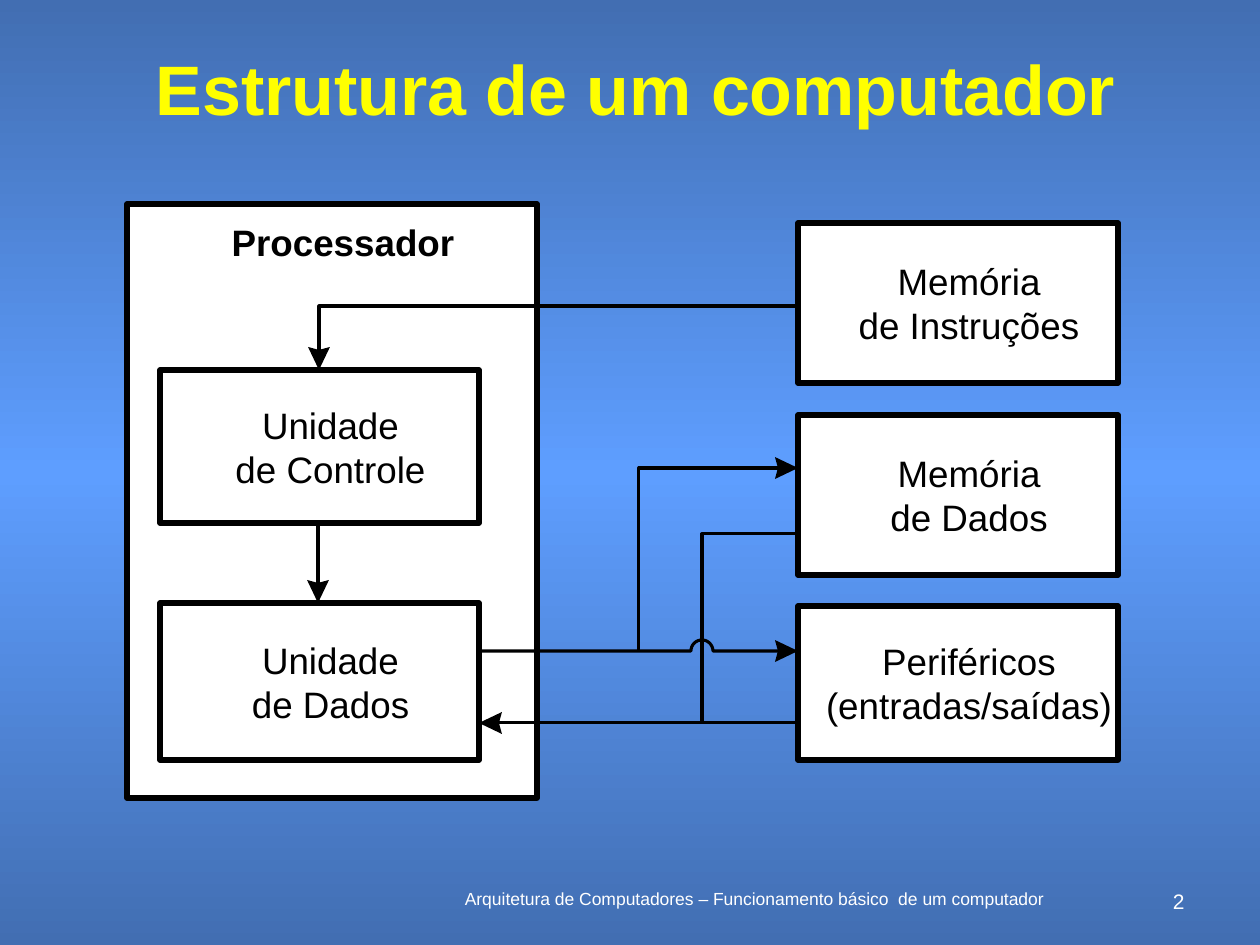
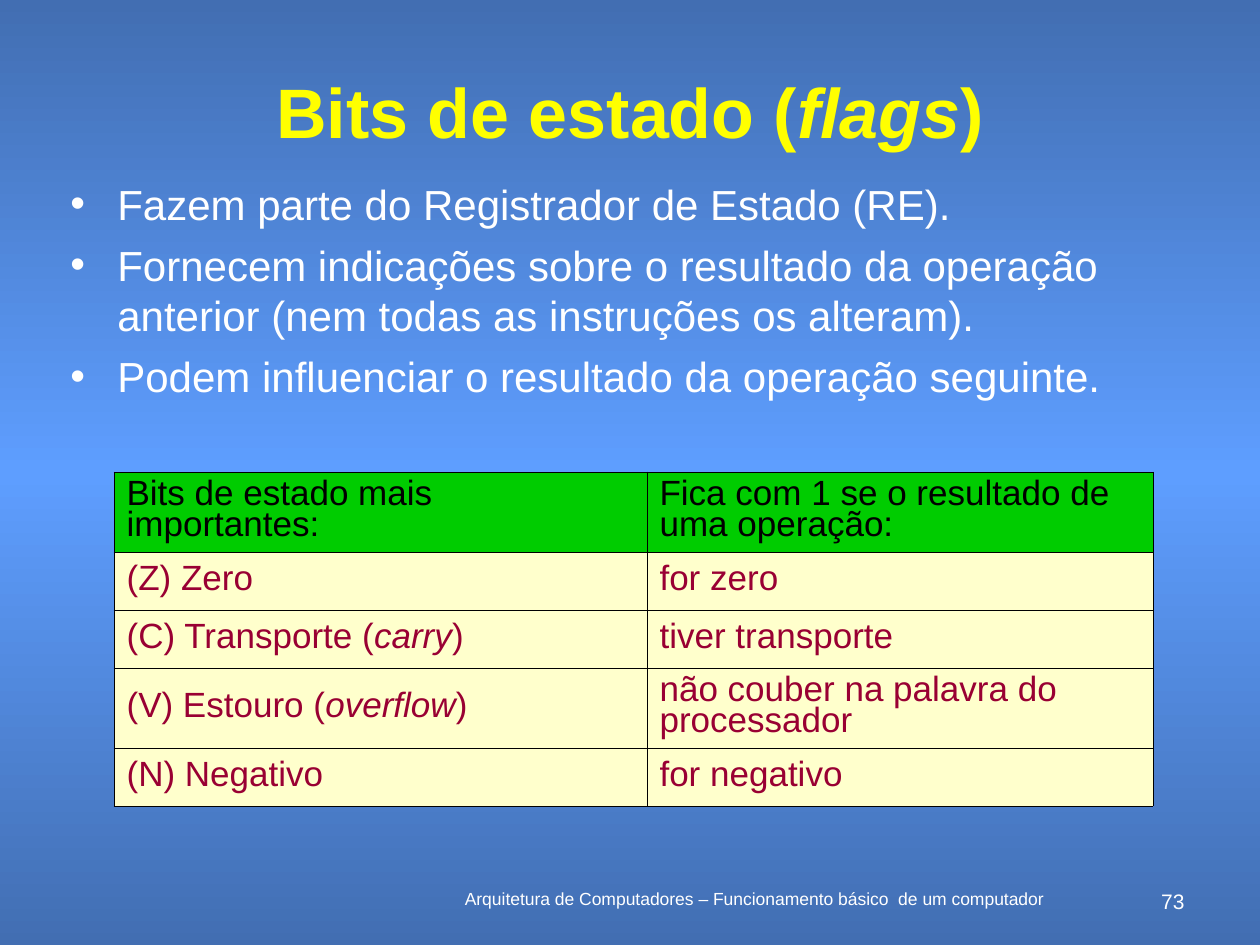
"""Builds two lecture slides: computer structure diagram and status flags table."""
import copy
import math
from lxml import etree
from pptx import Presentation, util as u
from pptx.dml.color import RGBColor
from pptx.enum import shapes, text
from pptx.oxml.ns import qn

SCALE = 914400 / 126
FONT = "Arial"
COLORS = dict(edge="426EB2", glow="5E9EFF", title="FFFF00", white="FFFFFF", black="000000",
              head="00CC00", row="FFFFCC", cell="990033")
FOOTER = "Arquitetura de Computadores – Funcionamento básico  de um computador"

STRUCTURE = dict(title="Estrutura de um computador", number="2",
                 title_box=(95, 53, 1081, 84), spacing=0.8)
PROCESSOR = ("Processador", (127, 204, 410, 594))
BLOCKS = [
    (["Unidade", "de Controle"], (160, 370, 319, 153)),
    (["Unidade", "de Dados"], (160, 603, 319, 157)),
    (["Memória", "de Instruções"], (798, 223, 320, 160)),
    (["Memória", "de Dados"], (798, 415, 320, 160)),
    (["Periféricos", "(entradas/saídas)"], (798, 606, 320, 154)),
]
OUT_Y, IN_Y, HOP_X, HOP_R = 651, 723, 702, 11
HOP = [(HOP_X - HOP_R * math.cos(math.pi * i / 16), OUT_Y - HOP_R * math.sin(math.pi * i / 16))
       for i in range(17)]
WIRES = [
    ([(318, 523), (318, 603)], True),
    ([(798, 306), (319, 306), (319, 370)], True),
    ([(479, OUT_Y), *HOP, (798, OUT_Y)], True),
    ([(639, OUT_Y), (639, 468), (798, 468)], True),
    ([(798, 534), (HOP_X, 534), (HOP_X, IN_Y)], False),
    ([(798, IN_Y), (479, IN_Y)], True),
]
ARROW_LENGTH, ARROW_NOTCH, ARROW_HALF = 23, 20, 11

FLAGS = dict(title="Bits de estado (*flags*)", number="73",
             title_box=(84, 63, 1092, 95), spacing=1.0)
BULLETS = [
    "Fazem parte do Registrador de Estado (RE).",
    "Fornecem indicações sobre o resultado da operação anterior (nem todas as instruções os alteram).",
    "Podem influenciar o resultado da operação seguinte.",
]
TABLE = [
    ("Bits de estado mais importantes:", "Fica com 1 se o resultado de uma operação:"),
    ("(Z) Zero", "for zero"),
    ("(C) Transporte (*carry*)", "tiver transporte"),
    ("(V) Estouro (*overflow*)", "não couber na palavra do processador"),
    ("(N) Negativo", "for negativo"),
]
TABLE_AT, COL_WIDTHS, ROW_HEIGHTS = (114, 472), (533, 506), (79, 58, 58, 80, 58)


def px(n):
    return u.Emu(round(n * SCALE))


def rgb(name):
    return RGBColor.from_string(COLORS[name])


def assign(obj, **values):
    for name, value in values.items():
        setattr(obj, name, value)


def write(p, words, size, color, bold=False, **layout):
    """Fill a paragraph; parts between asterisks are italic."""
    assign(p, **layout)
    for i, part in enumerate(words.split("*")):
        if part:
            r = p.add_run()
            r.text = part
            assign(r.font, name=FONT, size=u.Pt(size), bold=bold, italic=i % 2 == 1)
            r.font.color.rgb = rgb(color)


def add_text(s, box, lines, size, color, anchor=text.MSO_ANCHOR.TOP, bold=False, **layout):
    tf = s.shapes.add_textbox(*map(px, box)).text_frame
    assign(tf, word_wrap=True, vertical_anchor=anchor)
    for i, line in enumerate(lines):
        write(tf.add_paragraph() if i else tf.paragraphs[0], line, size, color, bold, **layout)
    return tf


def paint_background(master):
    fill = master.background.fill
    fill.gradient()
    fill.gradient_angle = 90
    edge, glow = fill.gradient_stops
    edge.color.rgb, glow.color.rgb = rgb("edge"), rgb("glow")
    edge.position, glow.position = 0, 0.5
    stops = master.element.find(".//" + qn("a:gsLst"))
    last = copy.deepcopy(stops[0])
    last.set("pos", "100000")
    stops.append(last)


def new_slide(prs, title, number, title_box, spacing):
    s = prs.slides.add_slide(prs.slide_layouts[6])
    center, right = text.PP_ALIGN.CENTER, text.PP_ALIGN.RIGHT
    add_text(s, (418, 882, 672, 32), [FOOTER], 10, "white", alignment=center)
    add_text(s, (1144, 882, 53, 32), [number], 12, "white", alignment=right)
    add_text(s, title_box, [title], 40, "title", text.MSO_ANCHOR.MIDDLE, True,
             alignment=center, line_spacing=spacing)
    return s


def add_block(s, lines, box, anchor=text.MSO_ANCHOR.MIDDLE, bold=False, top=0):
    sp = s.shapes.add_shape(shapes.MSO_SHAPE.RECTANGLE, *map(px, box))
    sp.shadow.inherit = False
    sp.fill.solid()
    sp.fill.fore_color.rgb = rgb("white")
    sp.line.color.rgb = rgb("black")
    sp.line.width = u.Pt(3.12)
    tf = sp.text_frame
    assign(tf, word_wrap=True, vertical_anchor=anchor, margin_left=px(22), margin_right=0,
           margin_top=px(top), margin_bottom=0)
    for i, line in enumerate(lines):
        write(tf.add_paragraph() if i else tf.paragraphs[0], line, 21, "black", bold,
              alignment=text.PP_ALIGN.CENTER, line_spacing=u.Pt(25.2))


def outline(s, points, close):
    start, *rest = [(px(x), px(y)) for x, y in points]
    builder = s.shapes.build_freeform(*start)
    builder.add_line_segments(rest, close=close)
    sp = builder.convert_to_shape()
    sp.shadow.inherit = False
    return sp


def add_wire(s, points, arrow):
    (x0, y0), (x, y) = points[-2:]
    length = math.hypot(x - x0, y - y0)
    dx, dy = (x - x0) / length, (y - y0) / length

    def behind(back, side=0):
        return x - back * dx - side * dy, y - back * dy + side * dx

    if arrow:
        points = [*points[:-1], behind(ARROW_NOTCH - 2)]
        head = outline(s, [(x, y), behind(ARROW_LENGTH, ARROW_HALF), behind(ARROW_NOTCH),
                           behind(ARROW_LENGTH, -ARROW_HALF)], True)
        head.fill.solid()
        head.fill.fore_color.rgb = rgb("black")
        head.line.fill.background()
    if len(points) == 2:
        ends = [px(n) for point in points for n in point]
        wire = s.shapes.add_connector(shapes.MSO_CONNECTOR.STRAIGHT, *ends)
        etree.SubElement(wire.element.spPr, qn("a:effectLst"))
    else:
        wire = outline(s, points, False)
        wire.fill.background()
    wire.line.color.rgb = rgb("black")
    wire.line.width = u.Pt(1.75)


def add_bullets(s, box, lines):
    tf = add_text(s, box, lines, 24, "white")
    for i, p in enumerate(tf.paragraphs):
        if i:
            p.space_before = u.Pt(6)
        pPr = p._p.get_or_add_pPr()
        pPr.set("marL", str(px(47)))
        pPr.set("indent", str(-px(47)))
        etree.SubElement(pPr, qn("a:buFont"), typeface=FONT)
        etree.SubElement(pPr, qn("a:buChar"), char="•")


def add_borders(cell):
    tcPr = cell._tc.get_or_add_tcPr()
    for side in "LRTB":
        ln = etree.SubElement(tcPr, qn("a:ln" + side), w=str(u.Pt(0.45)))
        fill = etree.SubElement(ln, qn("a:solidFill"))
        etree.SubElement(fill, qn("a:srgbClr"), val=COLORS["black"])


def add_flag_table(s):
    size = sum(COL_WIDTHS), sum(ROW_HEIGHTS)
    tbl = s.shapes.add_table(len(TABLE), len(COL_WIDTHS), *map(px, TABLE_AT + size)).table
    assign(tbl, first_row=False, horz_banding=False)
    for col, width in zip(tbl.columns, COL_WIDTHS):
        col.width = px(width)
    for i, (row, height, words) in enumerate(zip(tbl.rows, ROW_HEIGHTS, TABLE)):
        row.height = px(height)
        for cell, value in zip(row.cells, words):
            add_borders(cell)
            cell.fill.solid()
            cell.fill.fore_color.rgb = rgb("row" if i else "head")
            cell.vertical_anchor = text.MSO_ANCHOR.MIDDLE
            write(cell.text_frame.paragraphs[0], value, 20, "cell" if i else "black",
                  line_spacing=0.8)


def main():
    prs = Presentation()
    assign(prs, slide_width=px(1260), slide_height=px(945))
    paint_background(prs.slide_master)

    s = new_slide(prs, **STRUCTURE)
    name, box = PROCESSOR
    add_block(s, [name], box, text.MSO_ANCHOR.TOP, True, top=16)
    for lines, box in BLOCKS:
        add_block(s, lines, box)
    for points, arrow in WIRES:
        add_wire(s, points, arrow)

    s = new_slide(prs, **FLAGS)
    add_bullets(s, (58, 172, 1118, 273), BULLETS)
    add_flag_table(s)
    prs.save("out.pptx")


if __name__ == "__main__":
    main()
